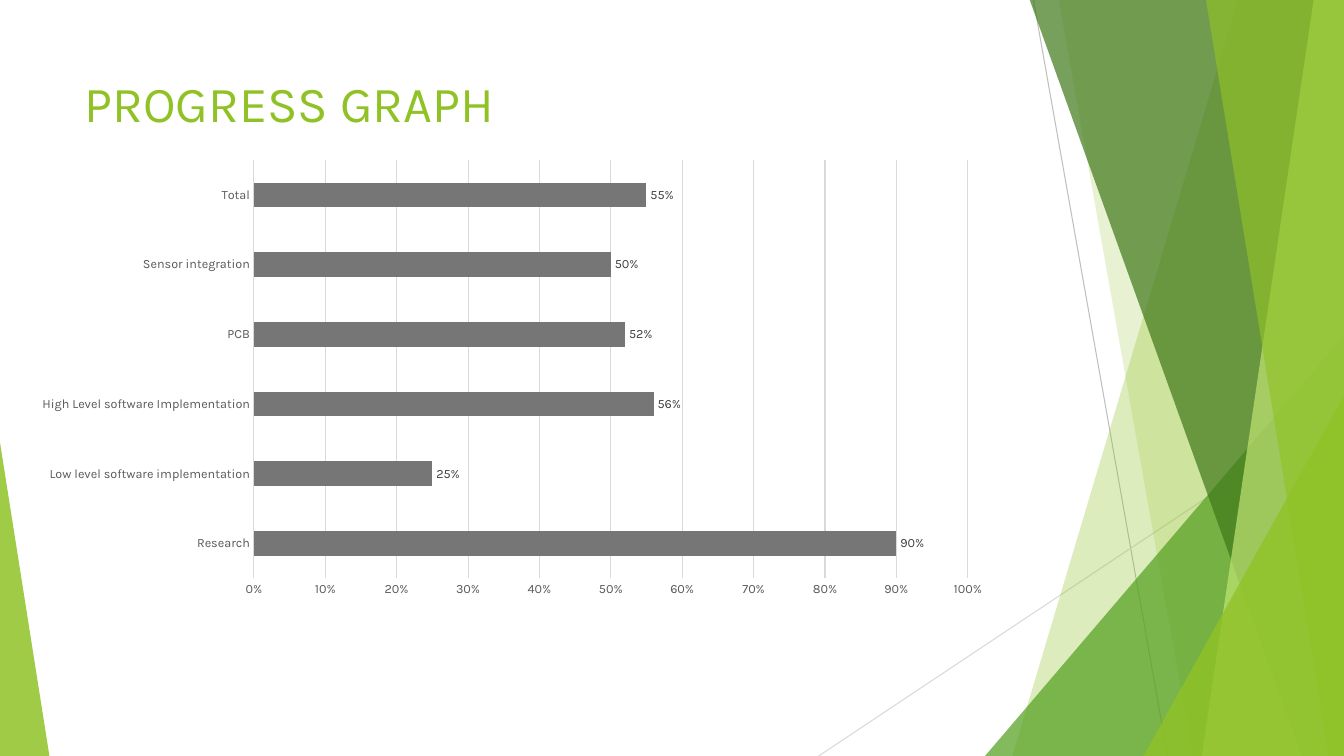
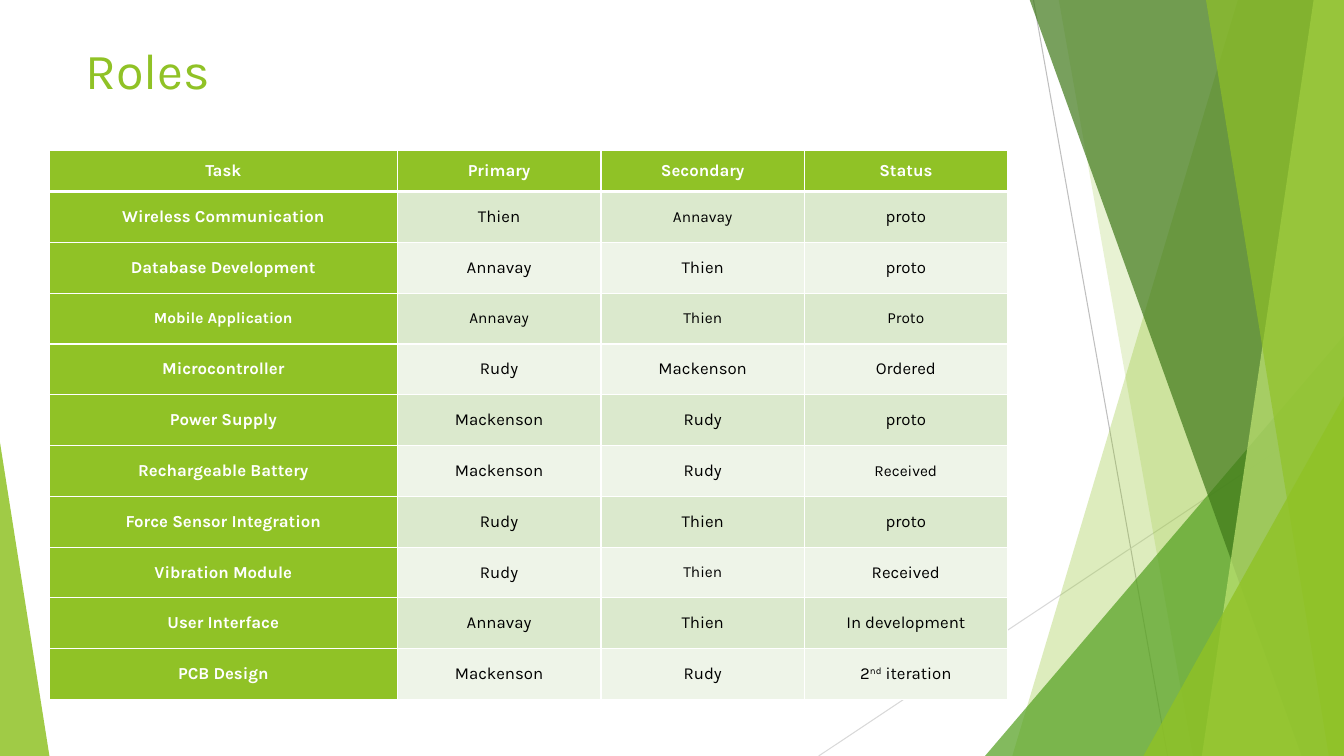
from dataclasses import dataclass
from lxml.etree import SubElement
from pptx import Presentation
from pptx.chart.data import CategoryChartData
from pptx.dml.color import RGBColor
from pptx.enum.chart import XL_CHART_TYPE, XL_LABEL_POSITION, XL_TICK_MARK
from pptx.enum.shapes import MSO_CONNECTOR, MSO_SHAPE
from pptx.enum.text import MSO_ANCHOR, PP_ALIGN
from pptx.oxml.ns import qn
from pptx.util import Pt

PX = 9144
WIDTH, HEIGHT = 1333, 750


@dataclass(frozen=True)
class Theme:
    font: str = "Karla"
    lime: str = "90C226"
    leaf: str = "54A021"
    forest: str = "3F7819"
    pale: str = "C0E474"
    white: str = "FFFFFF"
    black: str = "000000"
    grey_line: str = "BFBFBF"
    light_line: str = "D9D9D9"
    bar: str = "767676"
    axis_text: str = "595959"
    label_text: str = "404040"
    bands: tuple = ("DBE9CD", "EEF4E8")
    title_size: int = 36
    cell_size: int = 12
    small_cell_size: int = 11
    chart_size: int = 9
    hairline: float = 0.75


THEME = Theme()

BACKDROP_LINES = [
    ((1025, 0), (1158, HEIGHT), THEME.grey_line),
    ((WIDTH, 403), (812, HEIGHT), THEME.light_line),
]
BACKDROP_FACETS = [
    ("band", 1228, 1004, THEME.lime, 30),
    ("band", 1050, 1183, THEME.lime, 20),
    ("triangle", (977, 333, 356, 417), 1, THEME.leaf, 72),
    ("band", 1021, 1291, THEME.forest, 70),
    ("band", 1303, 1192, THEME.pale, 70),
    ("band", 1196, 1318, THEME.lime, 65),
    ("triangle", (1134, 393, 199, 357), 1, THEME.lime, 80),
    ("triangle", (0, 439, 49, 311), 0, THEME.lime, 85),
]

PROGRESS_TITLE = ("PROGRESS GRAPH", (74, 67, 940, 144))
PROGRESS_BOX = (19, 150, 970, 451)
PROGRESS_PLOT = {"x": 0.24, "y": 0.02, "w": 0.73, "h": 0.92}
PROGRESS = [
    ("Research", 0.9),
    ("Low level software implementation", 0.25),
    ("High Level software Implementation", 0.56),
    ("PCB", 0.52),
    ("Sensor integration", 0.5),
    ("Total", 0.55),
]

ROLES_TITLE = ("Roles", (75, 34, 940, 144))
ROLES_BOX = (49, 149, 950, 545)
ROLES_COLUMNS = [345, 202, 202, 201]
ROLES_HEADER_HEIGHT = 41
SUPERSCRIPT = 30000
ROLES = [
    ("Task", "Primary", "Secondary", "Status"),
    ("Wireless Communication", "Thien", "Annavay", "proto"),
    ("Database Development", "Annavay", "Thien", "proto"),
    ("Mobile Application", "Annavay", "Thien", "Proto"),
    ("Microcontroller", "Rudy", "Mackenson", "Ordered"),
    ("Power Supply", "Mackenson", "Rudy", "proto"),
    ("Rechargeable Battery", "Mackenson", "Rudy", "Received"),
    ("Force Sensor Integration", "Rudy", "Thien", "proto"),
    ("Vibration Module", "Rudy", "Thien", "Received"),
    ("User Interface", "Annavay", "Thien", "In development"),
    ("PCB Design", "Mackenson", "Rudy",
     [("2", 0), ("nd", SUPERSCRIPT), (" iteration", 0)]),
]
SMALL_CELLS = {(1, 2), (3, 0), (3, 1), (3, 2), (3, 3), (6, 3), (8, 2)}


def emu(*lengths):
    return [round(length * PX) for length in lengths]


def rgb(color):
    return RGBColor.from_string(color)


def style_font(font, size, color, bold=False):
    font.name = THEME.font
    font.size = Pt(size)
    font.bold = bold
    font.color.rgb = rgb(color)


def style_line(line, color):
    line.color.rgb = rgb(color)
    line.width = Pt(THEME.hairline)


def add_span(para, text, size, color, bold=False, baseline=0):
    span = para.add_run()
    span.text = text
    style_font(span.font, size, color, bold)
    if baseline:
        span.font._element.set("baseline", str(baseline))


def add_facet(page, kind, place, slant, color, opacity):
    if kind == "band":
        builder = page.shapes.build_freeform(place, -1, scale=PX)
        builder.add_line_segments([(WIDTH, -1), (WIDTH, HEIGHT), (slant, HEIGHT)])
        facet = builder.convert_to_shape()
    else:
        facet = page.shapes.add_shape(MSO_SHAPE.ISOSCELES_TRIANGLE, *emu(*place))
        facet.adjustments[0] = slant
    facet.shadow.inherit = False
    facet.line.fill.background()
    facet.fill.solid()
    facet.fill.fore_color.rgb = rgb(color)
    tint = facet._element.spPr.find(qn("a:solidFill")).find(qn("a:srgbClr"))
    SubElement(tint, qn("a:alpha")).set("val", str(opacity * 1000))


def add_backdrop(page):
    for start, end, color in BACKDROP_LINES:
        line = page.shapes.add_connector(MSO_CONNECTOR.STRAIGHT, *emu(*start, *end))
        style_line(line.line, color)
        SubElement(line._element.spPr, qn("a:effectLst"))
    for facet in BACKDROP_FACETS:
        add_facet(page, *facet)


def add_page(deck, title, place):
    page = deck.slides.add_slide(deck.slide_layouts[6])
    add_backdrop(page)
    box = page.shapes.add_textbox(*emu(*place))
    box.text_frame.word_wrap = True
    add_span(box.text_frame.paragraphs[0], title, THEME.title_size, THEME.lime)
    return page


def set_plot_layout(chart):
    plot_area = chart._chartSpace.chart.plotArea
    layout = plot_area.find(qn("c:layout"))
    if layout is None:
        layout = SubElement(plot_area, qn("c:layout"))
        plot_area.insert(0, layout)
    manual = SubElement(layout, qn("c:manualLayout"))
    settings = {"layoutTarget": "inner", "xMode": "edge", "yMode": "edge", **PROGRESS_PLOT}
    for name, value in settings.items():
        SubElement(manual, qn(f"c:{name}")).set("val", str(value))


def add_progress_chart(page):
    data = CategoryChartData(number_format="0%")
    data.categories = [name for name, share in PROGRESS]
    data.add_series("Series 1", [share for name, share in PROGRESS])
    chart = page.shapes.add_chart(
        XL_CHART_TYPE.BAR_CLUSTERED, *emu(*PROGRESS_BOX), data).chart
    chart.has_legend = False
    chart.has_title = False
    style_font(chart.font, THEME.chart_size, THEME.axis_text)
    set_plot_layout(chart)

    plot = chart.plots[0]
    plot.gap_width = 182
    plot.vary_by_categories = False
    series = plot.series[0]
    series.format.fill.solid()
    series.format.fill.fore_color.rgb = rgb(THEME.bar)
    labels = series.data_labels
    labels.show_value = True
    labels.position = XL_LABEL_POSITION.OUTSIDE_END
    labels.number_format = "0%"
    labels.number_format_is_linked = False
    style_font(labels.font, THEME.chart_size, THEME.label_text)

    for axis in (chart.category_axis, chart.value_axis):
        axis.major_tick_mark = axis.minor_tick_mark = XL_TICK_MARK.NONE
        style_font(axis.tick_labels.font, THEME.chart_size, THEME.axis_text)
    chart.category_axis.has_major_gridlines = False
    style_line(chart.category_axis.format.line, THEME.light_line)
    shares = chart.value_axis
    shares.minimum_scale, shares.maximum_scale, shares.major_unit = 0, 1, 0.1
    shares.has_major_gridlines = True
    style_line(shares.major_gridlines.format.line, THEME.light_line)
    shares.format.line.fill.background()
    shares.tick_labels.number_format = "0%"
    shares.tick_labels.number_format_is_linked = False


def set_borders(cell, widths):
    properties = cell._tc.get_or_add_tcPr()
    for position, (side, points) in enumerate(widths.items()):
        border = SubElement(properties, qn(f"a:ln{side}"), w=str(Pt(points)))
        properties.insert(position, border)
        paint = SubElement(border, qn("a:solidFill"))
        SubElement(paint, qn("a:srgbClr")).set("val", THEME.white)


def fill_cell(cell, content, row, column):
    heading = row == 0 or column == 0
    size = THEME.small_cell_size if (row, column) in SMALL_CELLS else THEME.cell_size
    color = THEME.white if heading else THEME.black
    cell.fill.solid()
    cell.fill.fore_color.rgb = rgb(THEME.lime if heading else THEME.bands[(row - 1) % 2])
    cell.vertical_anchor = MSO_ANCHOR.MIDDLE
    cell.margin_left, cell.margin_right, cell.margin_top, cell.margin_bottom = emu(7, 7, 0, 0)
    set_borders(cell, {"L": 1, "R": 1, "T": 3 if row == 1 else 1, "B": 3 if row == 0 else 1})
    para = cell.text_frame.paragraphs[0]
    para.alignment = PP_ALIGN.CENTER
    spans = [(content, 0)] if isinstance(content, str) else content
    for text, baseline in spans:
        add_span(para, text, size, color, heading, baseline)


def add_roles_table(page):
    table = page.shapes.add_table(
        len(ROLES), len(ROLES_COLUMNS), *emu(*ROLES_BOX)).table
    table.horz_banding = False
    for column, width in zip(table.columns, emu(*ROLES_COLUMNS)):
        column.width = width
    body_height = (ROLES_BOX[3] - ROLES_HEADER_HEIGHT) / (len(ROLES) - 1)
    for row, contents in enumerate(ROLES):
        table.rows[row].height = emu(body_height if row else ROLES_HEADER_HEIGHT)[0]
        for column, content in enumerate(contents):
            fill_cell(table.cell(row, column), content, row, column)


def main():
    deck = Presentation()
    deck.slide_width, deck.slide_height = emu(WIDTH, HEIGHT)
    add_progress_chart(add_page(deck, *PROGRESS_TITLE))
    add_roles_table(add_page(deck, *ROLES_TITLE))
    deck.save("out.pptx")


if __name__ == "__main__":
    main()
